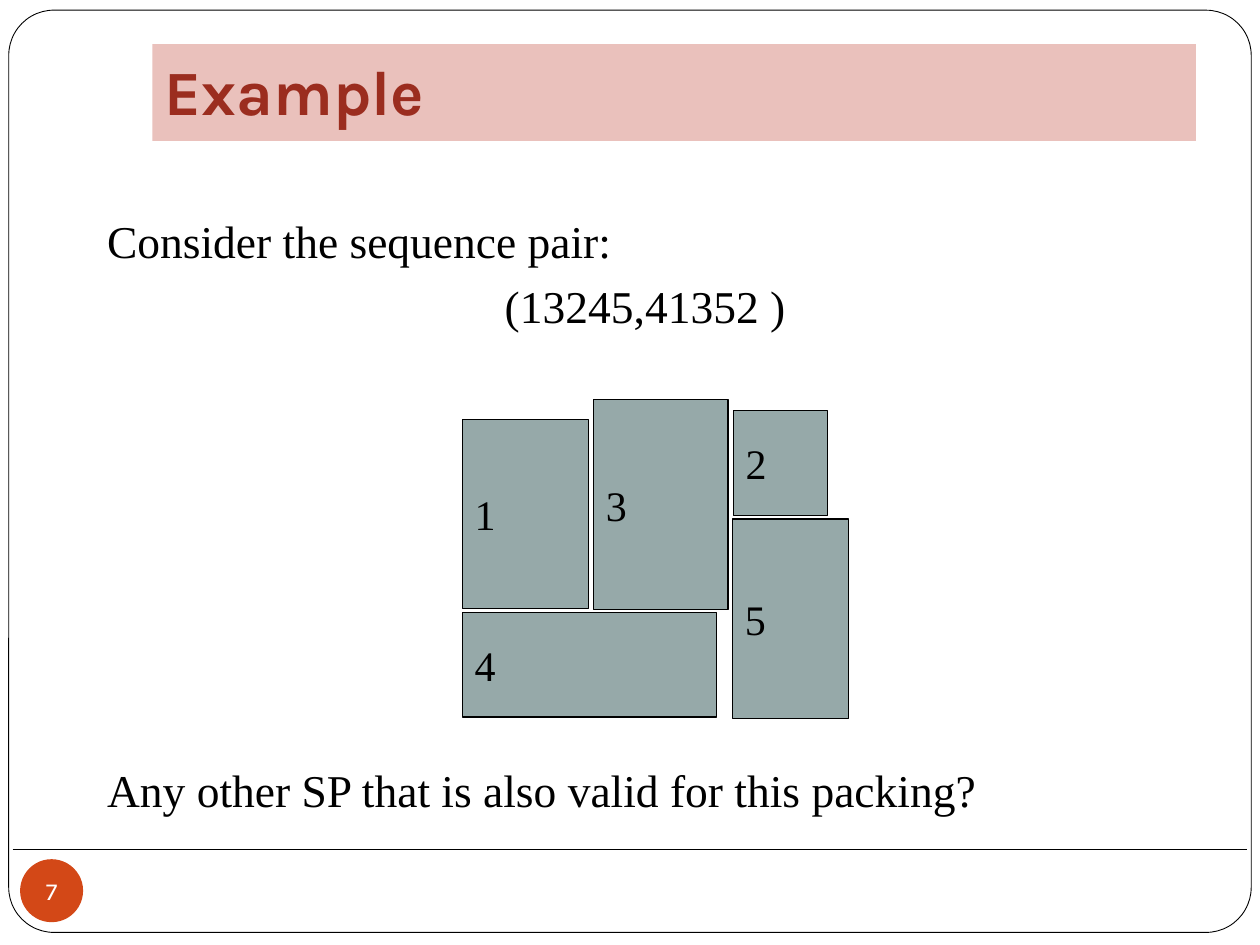
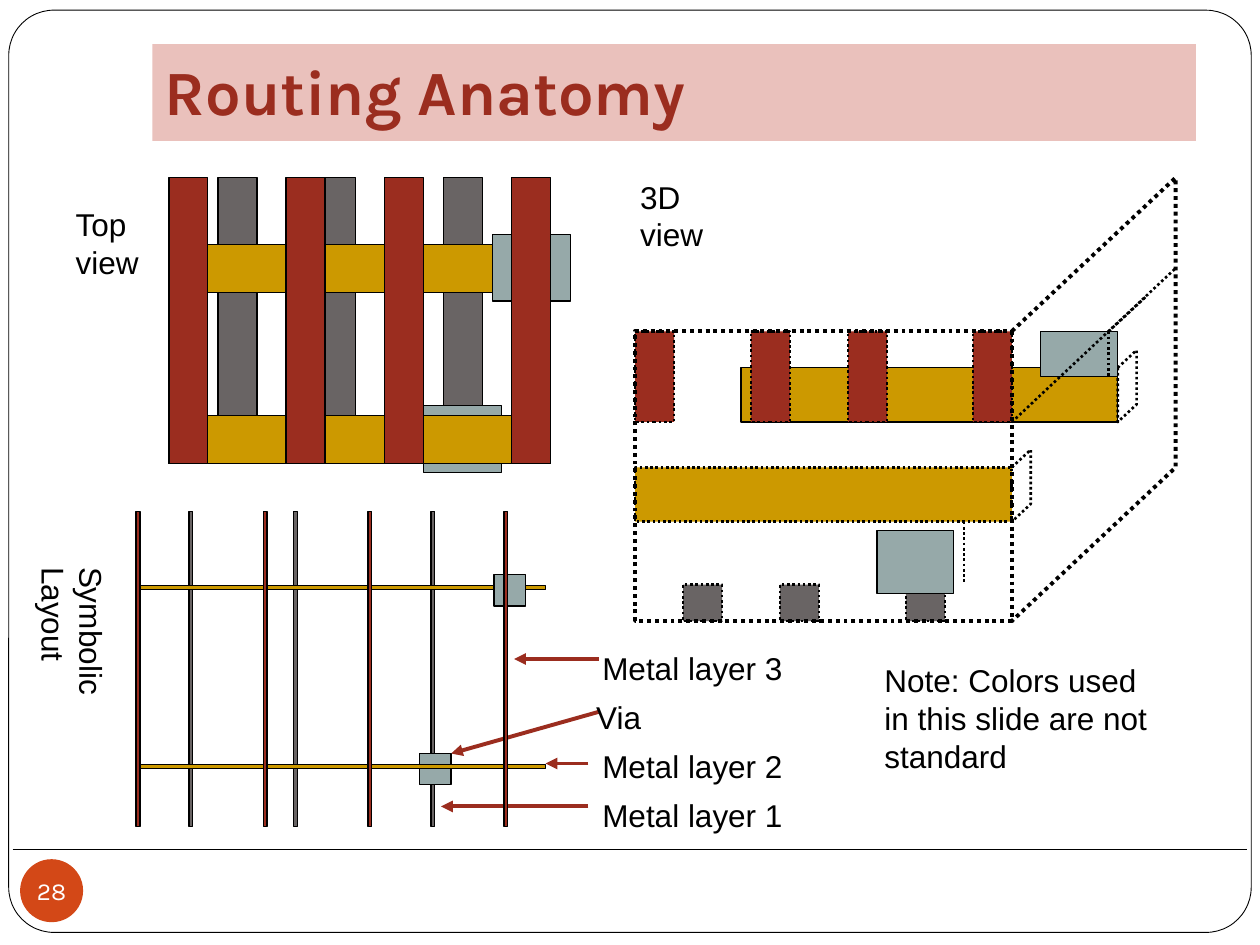
"""Build two slides on floorplan packing and routing layers."""
from collections import namedtuple
from dataclasses import dataclass

import pptx
import pptx.dml.color
import pptx.enum.dml
import pptx.enum.shapes
import pptx.enum.text
import pptx.oxml.ns
import pptx.util
from lxml import etree

Pt = pptx.util.Pt
SHAPE = pptx.enum.shapes.MSO_SHAPE
ANCHOR = pptx.enum.text.MSO_ANCHOR
ALIGN = pptx.enum.text.PP_ALIGN
Box = namedtuple("Box", "x y w h")


@dataclass(frozen=True)
class Theme:
    """Colours, fonts and type sizes of the deck."""
    ink: str = "000000"
    paper: str = "FFFFFF"
    band: str = "EAC1BC"
    badge: str = "D34817"
    via: str = "96A9A9"
    metal1: str = "696464"
    metal2: str = "CC9900"
    metal3: str = "9B2D1F"
    head: str = "Karla"
    serif: str = "Times New Roman"
    sans: str = "Arial"
    title: float = 36
    body: float = 26
    block: float = 24
    label: float = 18
    number: float = 14
    hair: float = 0.5
    thin: float = 0.75
    dots: float = 1.5
    thick: float = 2.25


T = Theme()


@dataclass(frozen=True)
class Wiring:
    """Places of the wires and vias of one routing grid."""
    metal1: tuple
    metal2: tuple
    metal3: tuple
    low_via: tuple
    high_via: tuple
    width: float
    thickness: float
    length: float
    span: float


TOP_WIRING = Wiring((28.1, 84.2, 157), (38.2, 136.1), (0, 67, 123.1, 195.8),
                    (145.4, 130.3, 44.6, 38.2), (185, 32.4, 44.6, 38.2),
                    22.3, 27.4, 163.4, 218.2)
SYMBOLIC_WIRING = Wiring((30.2, 90, 168.5), (42.5, 144.7), (0, 72.7, 132.5, 210.2),
                         (162, 138.2, 18, 18), (204.5, 36, 18, 18),
                         2.2, 2.2, 180, 234)


def rgb(color):
    """Turn a hex string into a colour."""
    return pptx.dml.color.RGBColor.from_string(color)


def style_line(line, color, width, dotted=False):
    """Set colour, width and dash of a line."""
    line.color.rgb = rgb(color)
    line.width = Pt(width)
    if dotted:
        line.dash_style = pptx.enum.dml.MSO_LINE.ROUND_DOT


def paint(sp, fill, width, dotted):
    """Set fill and outline of a shape; None leaves either out."""
    sp.shadow.inherit = False
    if fill:
        sp.fill.solid()
        sp.fill.fore_color.rgb = rgb(fill)
    else:
        sp.fill.background()
    if width:
        style_line(sp.line, T.ink, width, dotted)
    else:
        sp.line.fill.background()


def add_box(s, x, y, w, h, fill=None, width=T.thin, dotted=False, kind=SHAPE.RECTANGLE):
    """Add a preset shape."""
    sp = s.shapes.add_shape(kind, Pt(x), Pt(y), Pt(w), Pt(h))
    paint(sp, fill, width, dotted)
    return sp


def add_path(s, points, width, close):
    """Add a dotted outline through the points."""
    start, *rest = [(Pt(x), Pt(y)) for x, y in points]
    builder = s.shapes.build_freeform(*start)
    builder.add_line_segments(rest, close=close)
    paint(builder.convert_to_shape(), None, width, True)


def add_line(s, x1, y1, x2, y2, color=T.ink, width=T.thin, dotted=False, arrow=False):
    """Add a straight line, with an arrowhead at its end on request."""
    sp = s.shapes.add_connector(pptx.enum.shapes.MSO_CONNECTOR.STRAIGHT,
                                Pt(x1), Pt(y1), Pt(x2), Pt(y2))
    style_line(sp.line, color, width, dotted)
    qn = pptx.oxml.ns.qn
    if arrow:
        etree.SubElement(sp.line._get_or_add_ln(), qn("a:tailEnd"), type="triangle")
    etree.SubElement(sp._element.spPr, qn("a:effectLst"))


def write(sp, text, size, font, color=T.ink, bold=False, align=ALIGN.LEFT,
          anchor=ANCHOR.TOP, margins=(0, 0, 0, 0)):
    """Fill a shape with text in one style."""
    tf = sp.text_frame
    tf.word_wrap = True
    tf.vertical_anchor = anchor
    tf.margin_left, tf.margin_top, tf.margin_right, tf.margin_bottom = map(Pt, margins)
    tf.text = text
    for p in tf.paragraphs:
        p.alignment = align
        p.font.size = Pt(size)
        p.font.name = font
        p.font.bold = bold
        p.font.color.rgb = rgb(color)
    return tf


def add_label(s, x, y, w, h, text, size=T.label, font=T.sans):
    """Add a plain text box."""
    sp = s.shapes.add_textbox(Pt(x), Pt(y), Pt(w), Pt(h))
    return write(sp, text, size, font)


def new_slide(prs, title, number):
    """Add a slide with the shared frame, rule, title band and number."""
    s = prs.slides.add_slide(prs.slide_layouts[6])
    frame = add_box(s, 5, 5.8, 710, 527, T.paper, T.hair, kind=SHAPE.ROUNDED_RECTANGLE)
    frame.adjustments[0] = 0.049
    add_line(s, 7.2, 485.3, 712.8, 485.3)
    band = add_box(s, 87.1, 25.2, 596.2, 55.4, T.band, None)
    write(band, title, T.title, T.head, T.metal3, True, anchor=ANCHOR.BOTTOM,
          margins=(7.2, 3.6, 7.2, 7.2))
    badge = add_box(s, 11.5, 491, 36, 36, T.badge, None, kind=SHAPE.OVAL)
    write(badge, str(number), T.number, T.head, T.paper, align=ALIGN.CENTER,
          anchor=ANCHOR.MIDDLE)
    return s


def draw_question(s, box):
    """Place the sequence pair and the question below the packing."""
    text = ("Consider the sequence pair:\n(13245,41352 )\n"
            "Any other SP that is also valid for this packing?")
    tf = add_label(s, *box, text, T.body, T.serif)
    _, pair, question = tf.paragraphs
    pair.alignment = ALIGN.CENTER
    pair.space_before = Pt(6)
    question.space_before = Pt(245.5)


def draw_packing(s, box):
    """Place the five packed blocks."""
    blocks = {2: (154.8, 6.5, 54, 59.8), 5: (154.3, 68.4, 66.2, 113.8),
              4: (0, 121.7, 145.4, 59.8), 1: (0, 11.6, 72, 108),
              3: (74.9, 0, 77, 120.2)}
    for name, (x, y, w, h) in blocks.items():
        sp = add_box(s, box.x + x, box.y + y, w, h, T.via)
        write(sp, str(name), T.block, T.serif, anchor=ANCHOR.MIDDLE,
              margins=(7.2, 3.6, 7.2, 3.6))


def draw_wiring(s, left, top, g):
    """Stack three metal layers and the vias between them."""
    def via(x, y, w, h):
        add_box(s, left + x, top + y, w, h, T.via)

    def columns(xs, color):
        for x in xs:
            add_box(s, left + x, top, g.width, g.length, color)

    columns(g.metal1, T.metal1)
    via(*g.low_via)
    for y in g.metal2:
        add_box(s, left, top + y, g.span, g.thickness, T.metal2)
    via(*g.high_via)
    columns(g.metal3, T.metal3)


def draw_top_view(s, box):
    """Place the top view with its label at the left."""
    add_label(s, box.x, box.y + 15.9, 45, 43.2, "Top\nview")
    draw_wiring(s, box.x + 53.3, box.y, TOP_WIRING)


def draw_symbolic(s, box):
    """Place the symbolic layout with its upright label."""
    tf = add_label(s, box.x, box.y + 31.7, 43.2, 90, "Symbolic\nLayout")
    tf._txBody.bodyPr.set("vert", "eaVert")
    draw_wiring(s, box.x + 57.6, box.y, SYMBOLIC_WIRING)


def draw_3d_view(s, box):
    """Place the stack seen from the front with its depth lines."""
    left, top, wide = box.x, box.y, 215.3
    face, low, high = top + 87.8, top + 165.6, top + 108.7
    right = left + wide

    def fold(x, y, dx, dy, h, width, close=False):
        points = [(x, y), (x + dx, y - dy), (x + dx, y - dy + h), (x, y + h)]
        add_path(s, points, width, close)

    def dotted_line(x1, y1, x2, y2):
        add_line(s, left + x1, top + y1, left + x2, top + y2, width=T.dots, dotted=True)

    for x in (27.4, 82.8, 154.8):
        add_box(s, left + x, top + 232.6, 22.3, 20.9, T.metal1, T.dots, True)
    add_box(s, left + 138.2, top + 201.6, 43.9, 36, T.via)
    dotted_line(187.9, 196.6, 187.9, 232.6)
    add_box(s, left + 60.5, high, wide, 31, T.metal2)
    fold(left + 60.5 + wide, high, 10.8, 10.1, 31, T.dots, True)
    add_box(s, left, low, wide, 31, T.metal2, T.dots, True)
    fold(right, low, 10.8, 10.1, 31, T.dots)
    add_box(s, left + 231.8, face, 43.9, 25.9, T.via)
    dotted_line(270.7, 87.8, 270.7, 113.8)
    dotted_line(270.7, 87.8, 292.3, 67.7)
    for x in (0, 66.2, 121.7, 193):
        add_box(s, left + x, face, 22.3, 51.8, T.metal3, T.dots, True)
    dotted_line(wide, 139.7, 308.9, 51.8)
    add_label(s, left + 2.9, top, 45, 43.2, "3D\nview")
    fold(right, face, 93.6, 87.8, 165.6, T.thick)
    add_box(s, left, face, wide, 165.6, None, T.thick, True)


def draw_legend(s, box):
    """Place the layer names with arrows to the symbolic layout."""
    entries = [("Metal layer 3", 92.2, (90, 5.8, 41.8, 5.8)),
               ("Via", 88.6, (90, 36, 5.8, 59.8)),
               ("Metal layer 2", 92.2, (84.2, 65.5, 59.8, 65.5)),
               ("Metal layer 1", 92.2, (84.2, 90, 0, 90))]
    for i, (name, x, (x1, y1, x2, y2)) in enumerate(entries):
        add_line(s, box.x + x1, box.y + y1, box.x + x2, box.y + y2,
                 T.metal3, T.thick, arrow=True)
        add_label(s, box.x + x, box.y + 28 * i, box.w - x, 21.6, name)


def build_example(prs):
    """Build the sequence pair slide."""
    s = new_slide(prs, "Example", 7)
    draw_question(s, Box(61.2, 121.5, 615, 350))
    draw_packing(s, Box(264.2, 228.2, 220, 182))


def build_routing(prs):
    """Build the routing anatomy slide."""
    s = new_slide(prs, "Routing Anatomy", 28)
    draw_legend(s, Box(252, 370.8, 210, 106))
    draw_symbolic(s, Box(20.2, 292.3, 292, 180))
    draw_top_view(s, Box(43.2, 101.5, 283, 169))
    draw_3d_view(s, Box(362.9, 101.5, 309, 254))
    add_label(s, 505.4, 378, 165, 64.8,
              "Note: Colors used\nin this slide are not\nstandard")


def main():
    """Build the deck and save it."""
    prs = pptx.Presentation()
    prs.slide_width, prs.slide_height = Pt(720), Pt(540)
    build_example(prs)
    build_routing(prs)
    prs.save("out.pptx")


if __name__ == "__main__":
    main()
